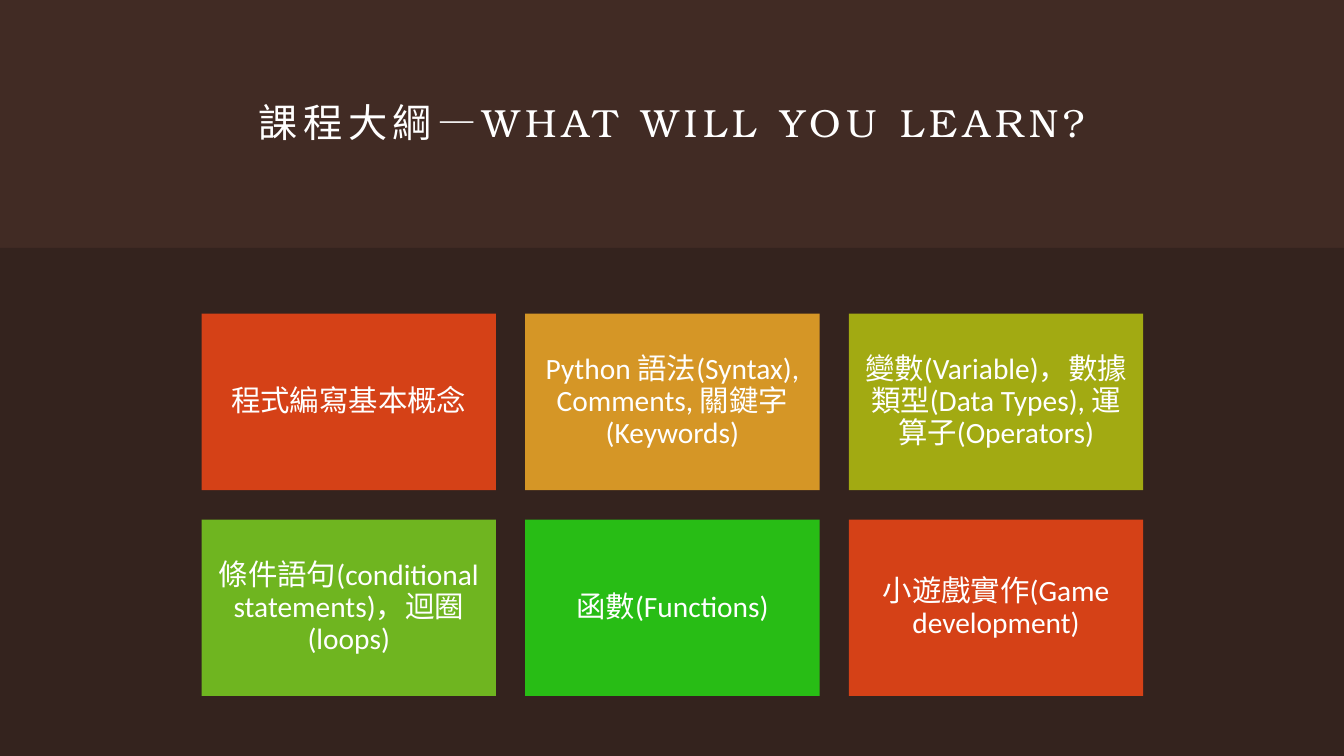
from dataclasses import dataclass

from pptx import Presentation
from pptx.dml.color import RGBColor
from pptx.enum.shapes import MSO_SHAPE
from pptx.enum.text import MSO_ANCHOR, MSO_AUTO_SIZE, PP_ALIGN
from pptx.util import Inches, Pt

SLIDE_W, SLIDE_H = Inches(13.33), Inches(7.5)
BACKGROUND, PANEL, WHITE = "412B24", "34231E", "FFFFFF"


@dataclass(frozen=True)
class Box:
    left: float
    top: float
    width: float
    height: float

    def emu(self) -> tuple[int, int, int, int]:
        return (
            int(SLIDE_W * self.left / 100),
            int(SLIDE_H * self.top / 100),
            int(SLIDE_W * self.width / 100),
            int(SLIDE_H * self.height / 100),
        )


@dataclass(frozen=True)
class Topic:
    text: str
    fill: str


TITLE_BOX = Box(8.85, 7.87, 82.3, 16.4)
PANEL_BOX = Box(0, 32.8, 100, 67.2)
FIRST_TILE = Box(15, 41.5, 21.9, 23.33)
COLUMNS, COLUMN_STEP, ROW_STEP = 3, 24.08, 27.23

TOPICS = [
    Topic("程式編寫基本概念", "D54117"),
    Topic("Python 語法(Syntax), Comments, 關鍵字(Keywords)", "D59626"),
    Topic("變數(Variable)，數據類型(Data Types), 運算子(Operators)", "A2AA12"),
    Topic("條件語句(conditional statements)，迴圈(loops)", "6FB520"),
    Topic("函數(Functions)", "28BD15"),
    Topic("小遊戲實作(Game development)", "D54117"),
]


def color(value: str) -> RGBColor:
    return RGBColor.from_string(value)


def apply(target, formats: dict) -> None:
    for name, value in formats.items():
        setattr(target, name, value)


def write(sp, text: str, font: str, size: float, inset: float, line: float):
    tf = sp.text_frame
    margins = ("margin_left", "margin_top", "margin_right", "margin_bottom")
    apply(tf, dict.fromkeys(margins, Inches(inset)))
    apply(tf, {
        "word_wrap": True,
        "auto_size": MSO_AUTO_SIZE.NONE,
        "vertical_anchor": MSO_ANCHOR.MIDDLE,
    })
    p = tf.paragraphs[0]
    apply(p, {"alignment": PP_ALIGN.CENTER, "line_spacing": line})
    r = p.add_run()
    r.text = text
    apply(r.font, {"name": font, "size": Pt(size)})
    r.font.color.rgb = color(WHITE)
    return r


def add_rect(s, box: Box, fill: str):
    sp = s.shapes.add_shape(MSO_SHAPE.RECTANGLE, *box.emu())
    sp.shadow.inherit = False
    sp.fill.solid()
    sp.fill.fore_color.rgb = color(fill)
    sp.line.fill.background()
    return sp


def add_title(s, text: str) -> None:
    sp = s.shapes.title
    left, top, width, height = TITLE_BOX.emu()
    apply(sp, {"left": left, "top": top, "width": width, "height": height})
    r = write(sp, text, "TeX Gyre Bonum", 28, 0, 1.0)
    r.font._element.set("spc", "400")


def add_topic(s, index: int, topic: Topic) -> None:
    row, column = divmod(index, COLUMNS)
    box = Box(
        FIRST_TILE.left + column * COLUMN_STEP,
        FIRST_TILE.top + row * ROW_STEP,
        FIRST_TILE.width,
        FIRST_TILE.height,
    )
    write(add_rect(s, box, topic.fill), topic.text, "Calibri", 21, 0.09, 0.9)


def main() -> None:
    prs = Presentation()
    apply(prs, {"slide_width": SLIDE_W, "slide_height": SLIDE_H})
    s = prs.slides.add_slide(prs.slide_layouts[5])
    s.background.fill.solid()
    s.background.fill.fore_color.rgb = color(BACKGROUND)
    add_title(s, "課程大綱—WHAT WILL YOU LEARN?")
    add_rect(s, PANEL_BOX, PANEL)
    for index, topic in enumerate(TOPICS):
        add_topic(s, index, topic)
    prs.save("out.pptx")


if __name__ == "__main__":
    main()
